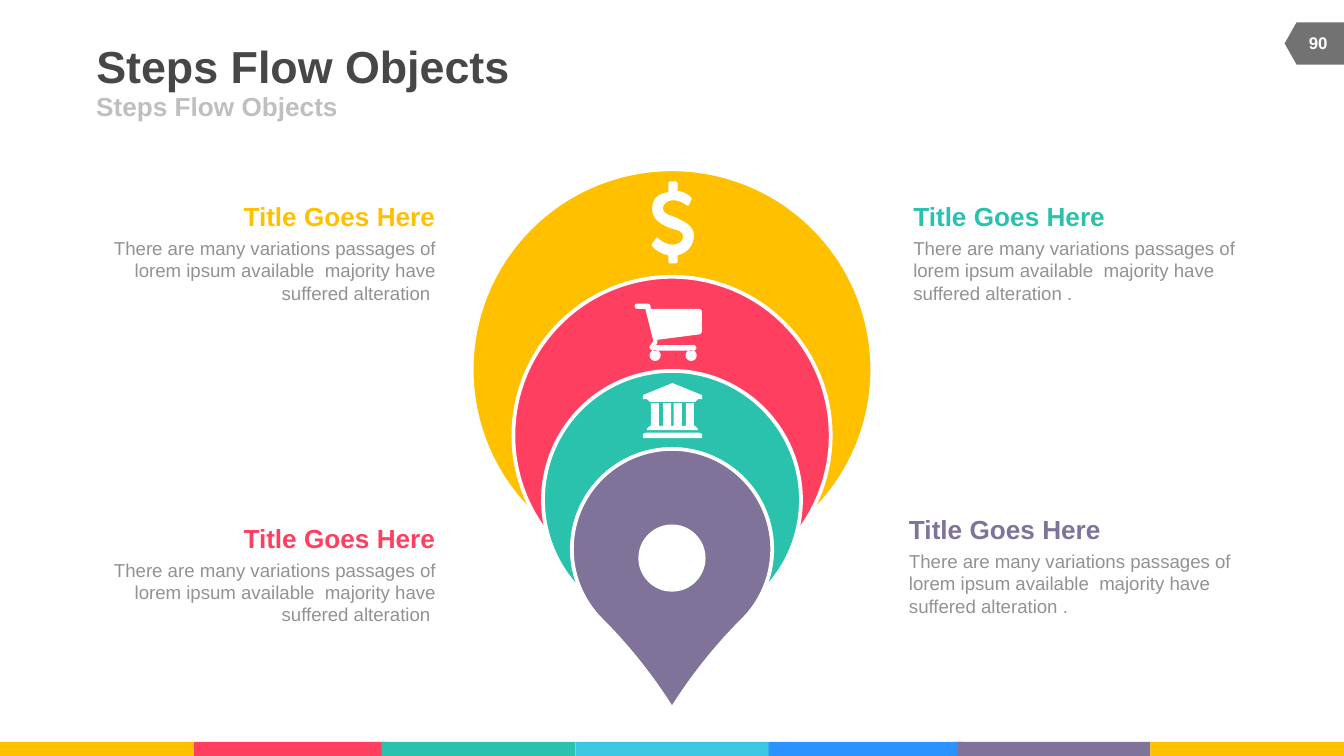
import math

import pptx
import pptx.dml.color
import pptx.enum.shapes
import pptx.enum.text
import pptx.util

Pt = pptx.util.Pt
RGBColor = pptx.dml.color.RGBColor
MSO_SHAPE = pptx.enum.shapes.MSO_SHAPE
ALIGN = pptx.enum.text.PP_ALIGN
ANCHOR = pptx.enum.text.MSO_ANCHOR

GOLD = RGBColor(0xFF, 0xC0, 0x00)
RED = RGBColor(0xFF, 0x3F, 0x5F)
TEAL = RGBColor(0x2A, 0xC2, 0xAC)
SKY = RGBColor(0x3B, 0xC7, 0xE2)
BLUE = RGBColor(0x29, 0x93, 0xFF)
PURPLE = RGBColor(0x7F, 0x73, 0x9A)
TITLE_GREY = RGBColor(0x47, 0x47, 0x47)
SUBTITLE_GREY = RGBColor(0xBF, 0xBF, 0xBF)
BODY_GREY = RGBColor(0x92, 0x92, 0x92)
TAG_GREY = RGBColor(0x72, 0x72, 0x72)
WHITE = RGBColor(0xFF, 0xFF, 0xFF)

SLIDE_W, SLIDE_H = 720, 405
CENTRE = SLIDE_W / 2

TITLE = "Steps Flow Objects"
PAGE = "90"
HEADING = "Title Goes Here"
BODY = "There are many variations passages of lorem ipsum available  majority have suffered alteration "

# left, top, heading colour, alignment, body text
BLOCKS = [
    (54, 107.3, GOLD, ALIGN.RIGHT, BODY),
    (54, 279.6, RED, ALIGN.RIGHT, BODY),
    (489.3, 107.3, TEAL, ALIGN.LEFT, BODY + "."),
    (487, 275, PURPLE, ALIGN.LEFT, BODY + "."),
]
BLOCK_W, BODY_OFFSET = 179.2, 19.6

# left, colour
FOOTER = [(0, GOLD), (103.7, RED), (204.5, TEAL), (308.2, SKY),
          (411.8, BLUE), (512.6, PURPLE), (616.3, GOLD)]
FOOTER_W, FOOTER_H = 103.7, 7.5

# top, diameter, colour
DROPS = [(90.7, 214.6, GOLD), (148.3, 170, RED),
         (198.7, 138.2, TEAL), (240.5, 107.3, PURPLE)]


def wheel(cx, cy, radius):
    """Outline of a round wheel as a list of points."""
    turns = [2 * math.pi * i / 24 for i in range(24)]
    return [(cx + radius * math.cos(t), cy + radius * math.sin(t)) for t in turns]


# Outlines on a grid of ICON_UNIT points: pairs are corners, six numbers a cubic curve.
ICON_UNIT = 0.72
FINENESS = 100
DOLLAR = [
    [(20, 55), (20, 60), (19, 61), (14, 61), (13, 60), (13, 55), (4, 53, 1, 48, 1, 48),
     (0.5, 47), (4, 42), (5, 42), (5, 42, 10, 47, 16, 47), (20, 47, 24, 45, 24, 41),
     (24, 37, 19, 36, 15, 35), (8, 32, 1, 29, 1, 20), (1, 13, 5, 9, 13, 8), (13, 1),
     (14, 0), (19, 0), (20, 1), (20, 7), (27, 8, 30, 12, 30, 12), (30.5, 13), (28, 18),
     (27, 18), (27, 18, 22, 14, 17, 14), (12, 14, 9, 17, 9, 20), (9, 24, 14, 25, 19, 27),
     (25, 30, 32, 33, 32, 40), (32, 48, 27, 53, 20, 55)],
]
CART = [
    [(50, 21), (50, 22, 49, 23, 48, 23), (17, 27), (17, 29), (16, 31), (44, 31),
     (45, 31, 46, 32, 46, 33), (46, 34, 45, 35, 44, 35), (14, 35),
     (13, 35, 11, 34, 11, 32), (14, 28), (8, 4), (2, 4), (1, 4, 0, 3, 0, 2),
     (0, 1, 1, 0, 2, 0), (9, 0), (12, 0, 12, 2, 12, 4), (48, 4), (49, 4, 50, 5, 50, 6)],
    wheel(15.3, 38.6, 4.1),
    wheel(42.1, 38.6, 4.1),
]
BANK = [
    [(22, 0), (44, 9), (44, 12), (41, 12), (39, 14), (5, 14), (3, 12), (0, 12), (0, 9)],
    [(44, 38), (44, 41), (0, 41), (0, 38), (2, 37), (42, 37)],
    [(12, 15), (12, 32), (15, 32), (15, 15), (21, 15), (21, 32), (23, 32), (23, 15),
     (29, 15), (29, 32), (32, 32), (32, 15), (38, 15), (38, 32), (39, 32), (41, 34),
     (41, 35), (3, 35), (3, 34), (5, 32), (6, 32), (6, 15)],
]
# left, top, outlines
ICONS = [(348.7, 97.2, DOLLAR), (340, 162.6, CART), (344.4, 205.2, BANK)]
DOT_TOP, DOT_SIZE = 281, 36

prs = pptx.Presentation()
prs.slide_width, prs.slide_height = Pt(SLIDE_W), Pt(SLIDE_H)
slide = prs.slides.add_slide(prs.slide_layouts[6])


def add_text(text, left, top, width, height, size, color, bold=True,
             align=ALIGN.LEFT, anchor=ANCHOR.TOP):
    box = slide.shapes.add_textbox(Pt(left), Pt(top), Pt(width), Pt(height))
    frame = box.text_frame
    frame.word_wrap = True
    frame.vertical_anchor = anchor
    frame.margin_left = frame.margin_right = frame.margin_top = frame.margin_bottom = 0
    frame.text = text
    paragraph = frame.paragraphs[0]
    paragraph.alignment = align
    font = paragraph.runs[0].font
    font.name, font.size, font.bold = "Arial", Pt(size), bold
    font.color.rgb = color


def paint(shape, fill, outline=None):
    shape.shadow.inherit = False
    shape.fill.solid()
    shape.fill.fore_color.rgb = fill
    if outline is None:
        shape.line.fill.background()
    else:
        shape.line.color.rgb = outline
        shape.line.width = Pt(2)


def add_preset(kind, left, top, width, height, fill, outline=None):
    shape = slide.shapes.add_shape(kind, Pt(left), Pt(top), Pt(width), Pt(height))
    paint(shape, fill, outline)
    return shape


def flatten(outline, steps=8):
    """Turn corners and cubic curves into plain points on the finer drawing grid."""
    points = []
    for part in outline:
        if len(part) == 2:
            points.append(part)
            continue
        start, a, b, end = points[-1], part[:2], part[2:4], part[4:]
        for step in range(1, steps + 1):
            t = step / steps
            u = 1 - t
            points.append(tuple(u**3 * p + 3 * u * u * t * q + 3 * u * t * t * r + t**3 * s
                                for p, q, r, s in zip(start, a, b, end)))
    return [(round(x * FINENESS), round(y * FINENESS)) for x, y in points]


def add_icon(left, top, outlines):
    first, *others = [flatten(outline) for outline in outlines]
    builder = slide.shapes.build_freeform(*first[0], scale=Pt(ICON_UNIT) / FINENESS)
    builder.add_line_segments(first[1:])
    for points in others:
        builder.move_to(*points[0])
        builder.add_line_segments(points[1:])
    paint(builder.convert_to_shape(Pt(left), Pt(top)), WHITE)


for left, color in FOOTER:
    add_preset(MSO_SHAPE.RECTANGLE, left, SLIDE_H - FOOTER_H, FOOTER_W, FOOTER_H, color)

tag = add_preset(MSO_SHAPE.FLOWCHART_OFFPAGE_CONNECTOR, 692.8, 7.4, 22.6, 31.8, TAG_GREY)
tag.rotation = 90
add_text(PAGE, 691, 12.2, 30.4, 21.6, 9, WHITE, align=ALIGN.CENTER, anchor=ANCHOR.MIDDLE)

add_text(TITLE, 51.6, 21, 444, 28, 24, TITLE_GREY, anchor=ANCHOR.MIDDLE)
add_text(TITLE, 51.6, 48.9, 324, 16, 14, SUBTITLE_GREY, anchor=ANCHOR.MIDDLE)

for top, diameter, color in DROPS:
    drop = add_preset(MSO_SHAPE.TEAR, CENTRE - diameter / 2, top, diameter, diameter,
                      color, WHITE)
    drop.adjustments[0] = 1.128
    drop.rotation = 135

for left, top, outlines in ICONS:
    add_icon(left, top, outlines)
add_preset(MSO_SHAPE.OVAL, CENTRE - DOT_SIZE / 2, DOT_TOP, DOT_SIZE, DOT_SIZE, WHITE)

for left, top, color, align, body in BLOCKS:
    add_text(HEADING, left, top, BLOCK_W, 17.3, 14, color, align=align)
    add_text(body, left, top + BODY_OFFSET, BLOCK_W, 36, 10, BODY_GREY, False, align)

prs.save("out.pptx")
